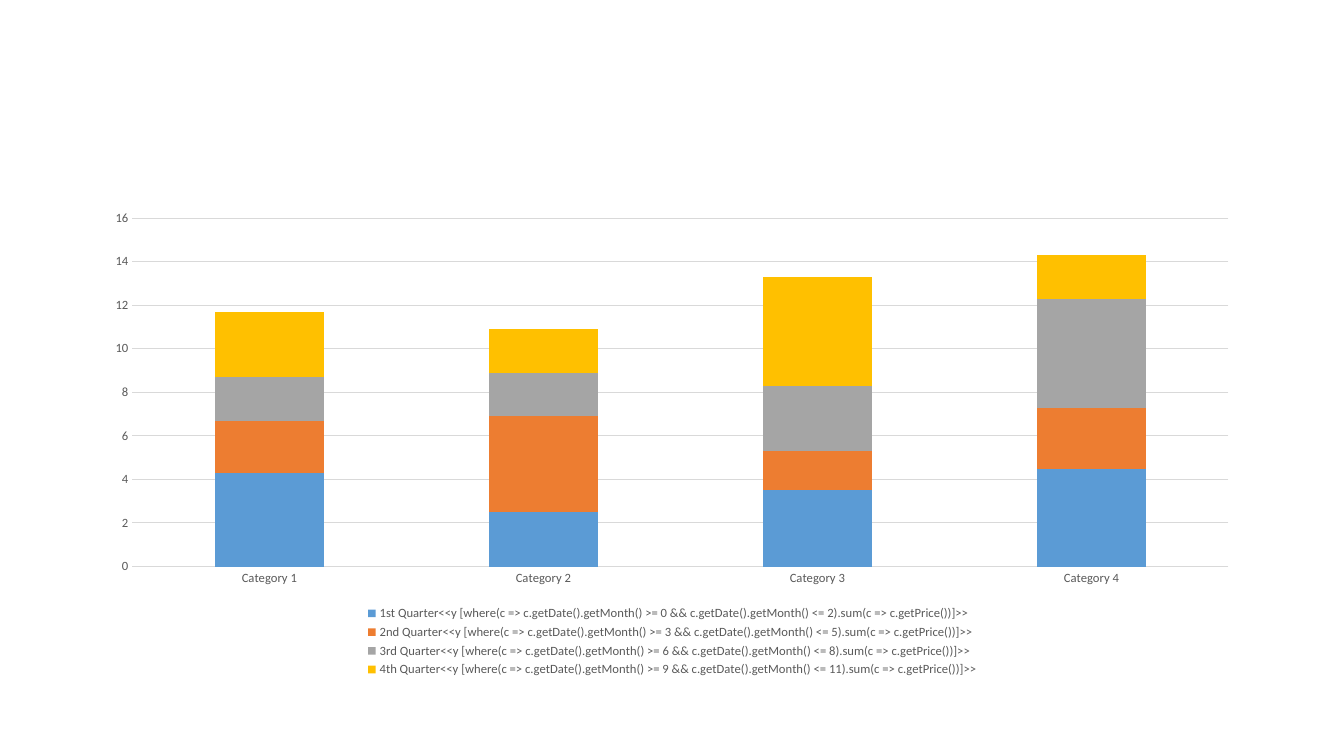
"""Build a slide with a stacked column chart of quarterly sums."""
from pptx import Presentation
from pptx.chart.data import CategoryChartData
from pptx.dml.color import RGBColor
from pptx.enum.chart import XL_CHART_TYPE as ChartType
from pptx.enum.chart import XL_LEGEND_POSITION as LegendPosition
from pptx.enum.chart import XL_TICK_MARK as TickMark
from pptx.util import Pt

BLUE = RGBColor(0x5B, 0x9B, 0xD5)
ORANGE = RGBColor(0xED, 0x7D, 0x31)
GRAY = RGBColor(0xA5, 0xA5, 0xA5)
GOLD = RGBColor(0xFF, 0xC0, 0x00)
BLACK = RGBColor(0x00, 0x00, 0x00)
LABEL = RGBColor(0x59, 0x59, 0x59)
RULE = RGBColor(0xD9, 0xD9, 0xD9)

CATEGORIES = ["Category 1", "Category 2", "Category 3", "Category 4"]
QUARTERS = [
    ("1st", 0, 2, BLUE, (4.3, 2.5, 3.5, 4.5)),
    ("2nd", 3, 5, ORANGE, (2.4, 4.4, 1.8, 2.8)),
    ("3rd", 6, 8, GRAY, (2, 2, 3, 5)),
    ("4th", 9, 11, GOLD, (3, 2, 5, 2)),
]
SERIES_NAME = (
    "{} Quarter<<y [where(c => c.getDate().getMonth() >= {} && "
    "c.getDate().getMonth() <= {}).sum(c => c.getPrice())]>>"
)
CHART_FONT = {"name": "Calibri", "size": Pt(10)}
LABEL_FONT = {"name": "Calibri", "size": Pt(9)}


def style_font(font, values, color):
    for name, value in values.items():
        setattr(font, name, value)
    font.color.rgb = color


def style_line(line):
    line.color.rgb = RULE
    line.width = Pt(0.75)


def add_quarter_chart(page):
    data = CategoryChartData()
    data.categories = CATEGORIES
    for quarter, first, last, _, values in QUARTERS:
        data.add_series(SERIES_NAME.format(quarter, first, last), values)
    chart = page.shapes.add_chart(
        ChartType.COLUMN_STACKED, Pt(66), Pt(143.75), Pt(828), Pt(342.63), data
    ).chart
    chart.has_title = False
    style_font(chart.font, CHART_FONT, BLACK)

    plot = chart.plots[0]
    plot.vary_by_categories = False
    plot.gap_width, plot.overlap = 150, 100
    for series, (_, _, _, color, _) in zip(plot.series, QUARTERS):
        series.format.fill.solid()
        series.format.fill.fore_color.rgb = color
        series.invert_if_negative = False

    for axis in (chart.category_axis, chart.value_axis):
        axis.major_tick_mark = axis.minor_tick_mark = TickMark.NONE
        style_font(axis.tick_labels.font, LABEL_FONT, LABEL)
    style_line(chart.category_axis.format.line)
    chart.value_axis.format.line.fill.background()
    chart.value_axis.has_major_gridlines = True
    style_line(chart.value_axis.major_gridlines.format.line)

    chart.has_legend = True
    chart.legend.position = LegendPosition.BOTTOM
    chart.legend.include_in_layout = False
    style_font(chart.legend.font, LABEL_FONT, LABEL)


def main():
    deck = Presentation()
    deck.slide_width, deck.slide_height = Pt(960), Pt(540)
    add_quarter_chart(deck.slides.add_slide(deck.slide_layouts[6]))
    deck.save("out.pptx")


if __name__ == "__main__":
    main()
